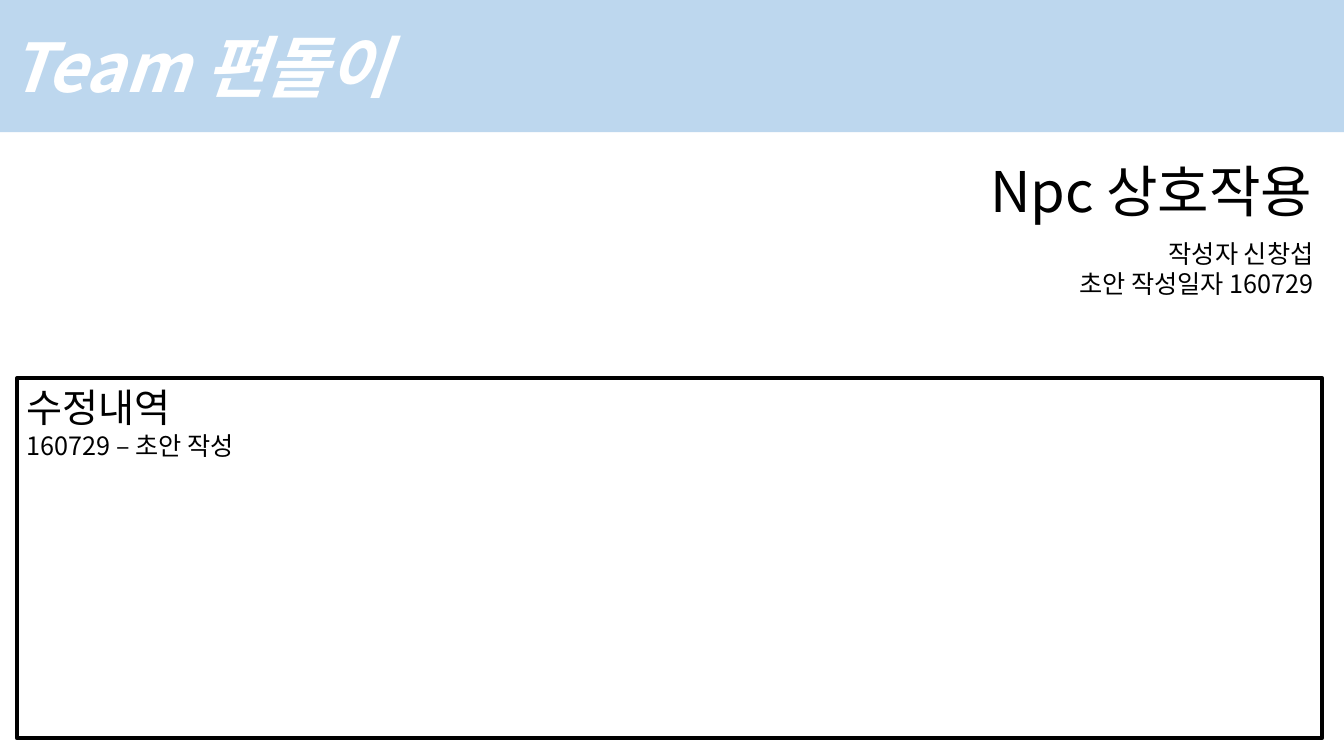
from lxml import etree
from pptx import Presentation
from pptx.dml.color import RGBColor
from pptx.enum.shapes import MSO_SHAPE
from pptx.enum.text import MSO_ANCHOR, MSO_AUTO_SIZE, PP_ALIGN
from pptx.oxml.ns import qn
from pptx.util import Cm, Pt

RECT = MSO_SHAPE.RECTANGLE
TOP, MIDDLE = MSO_ANCHOR.TOP, MSO_ANCHOR.MIDDLE
LEFT, RIGHT = PP_ALIGN.LEFT, PP_ALIGN.RIGHT
GROW = MSO_AUTO_SIZE.SHAPE_TO_FIT_TEXT
FONT = "Noto Sans CJK KR"
COLORS = {"band": "BDD7EE", "ink": "000000", "title": "FFFFFF"}


def write(shape, lines, align, color="ink", bold=None):
    """Fill a shape with (text, size) lines; bold text is italic too."""
    frame = shape.text_frame
    frame.text = "\n".join(text for text, size in lines)
    for para, (text, size) in zip(frame.paragraphs, lines):
        para.alignment = align
        for run in para.runs:
            font = run.font
            font.name, font.size = FONT, Pt(size)
            font.bold = font.italic = bold
            font.color.rgb = RGBColor.from_string(COLORS[color])
            east = etree.Element(qn("a:ea"), typeface=FONT)
            font._element.find(qn("a:latin")).addnext(east)


def add_rect(box, anchor):
    """Add a plain rectangle without a shadow."""
    shape = slide.shapes.add_shape(RECT, *map(Cm, box))
    shape.shadow.inherit = False
    shape.text_frame.vertical_anchor = anchor
    return shape


deck = Presentation()
deck.slide_width, deck.slide_height = Cm(33.87), Cm(19.05)
slide = deck.slides.add_slide(deck.slide_layouts[6])

# Title band
band = add_rect((0, 0, 33.87, 3.33), MIDDLE)
band.fill.solid()
band.fill.fore_color.rgb = RGBColor.from_string(COLORS["band"])
band.line.fill.background()
write(band, [("Team 편돌이", 48)], LEFT, "title", True)

# Topic and author, set against the right edge
notes = [
    ((24, 3.81, 9.32, 1.96), [("Npc 상호작용", 40)]),
    ((26.42, 5.87, 6.93, 1.8), [("작성자 신창섭", 18), ("초안 작성일자 160729", 18)]),
]
for box, lines in notes:
    note = slide.shapes.add_textbox(*map(Cm, box))
    note.text_frame.word_wrap = False
    note.text_frame.auto_size = GROW
    write(note, lines, RIGHT)

# Revision log
log = add_rect((0.43, 9.53, 32.89, 9.07), TOP)
log.fill.background()
log.line.color.rgb = RGBColor.from_string(COLORS["ink"])
log.line.width = Pt(3)
write(log, [("수정내역", 28), ("160729 – 초안 작성", 18)], LEFT)

deck.save("out.pptx")
